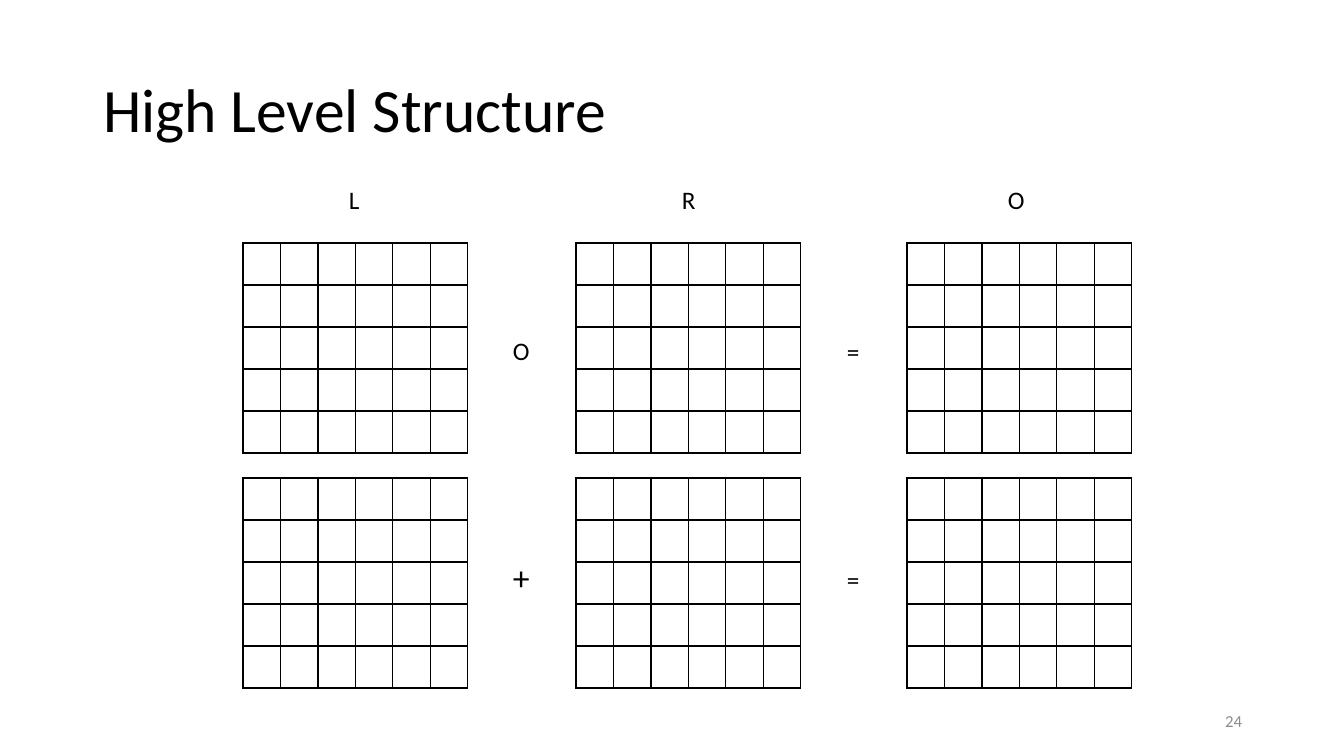
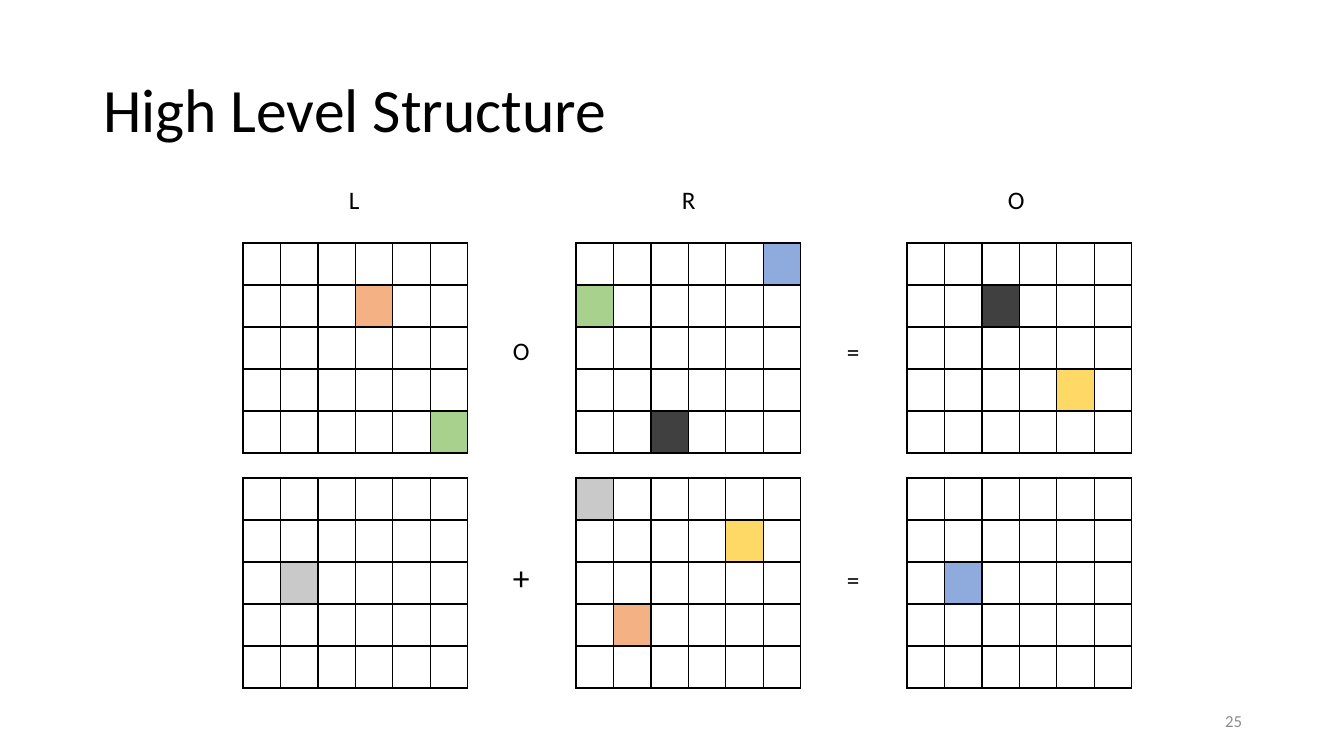
import pptx
import pptx.dml.color
import pptx.enum.text
import pptx.oxml
import pptx.oxml.ns
import pptx.util

EMU_PER_PX = 914400 / 100.8
FONT = "Calibri"
BLACK, WHITE, MUTED = "000000", "FFFFFF", "8C8C8C"
ORANGE, GREEN, BLUE = "F4B183", "A9D18E", "8FAADC"
DARK, YELLOW, GRAY = "404040", "FFD966", "C9C9C9"

ROWS, COLS = 5, 6
GRID_W, GRID_H = 225, 210
EQUATIONS_BOX = (243, 179)
GRID_DX = (0, 333, 664)       # left edges of the L, R and O matrices
OPERATOR_DX = (260, 594)
HEADERS = (("L", 96), ("R", 429), ("O", 755))
# Each equation: top offset, then (symbol, drop, size in points, width, height)
EQUATIONS = (
    (64, (("O", 87, 18, 33, 40), ("=", 88, 18, 33, 40))),
    (299, (("+", 74, 24, 41, 50), ("=", 81, 18, 33, 40))),
)

# (equation, matrix) -> {(row, column): colour}
COPIED_CELLS = {
    (0, 0): {(1, 3): ORANGE, (4, 5): GREEN},
    (0, 1): {(0, 5): BLUE, (1, 0): GREEN, (4, 2): DARK},
    (0, 2): {(1, 2): DARK, (3, 4): YELLOW},
    (1, 0): {(2, 1): GRAY},
    (1, 1): {(0, 0): GRAY, (1, 4): YELLOW, (3, 1): ORANGE},
    (1, 2): {(2, 1): BLUE},
}
SLIDES = ((24, {}), (25, COPIED_CELLS))


def px(n):
    return pptx.util.Emu(round(n * EMU_PER_PX))


def rgb(color):
    return pptx.dml.color.RGBColor.from_string(color)


def set_attrs(obj, values):
    for name, value in values.items():
        setattr(obj, name, value)


def write(sp, text, size, color=BLACK, frame=None, para=None):
    """Fill a shape with one formatted run."""
    tf = sp.text_frame
    set_attrs(tf, {"word_wrap": True, **(frame or {})})
    p = tf.paragraphs[0]
    set_attrs(p, para or {})
    r = p.add_run()
    r.text = text
    set_attrs(r.font, {"name": FONT, "size": pptx.util.Pt(size)})
    r.font.color.rgb = rgb(color)


def add_label(s, text, x, y, w, h, size, **style):
    write(s.shapes.add_textbox(px(x), px(y), px(w), px(h)), text, size, **style)


def add_borders(cell):
    tc_pr = cell._tc.get_or_add_tcPr()
    for i, side in enumerate(("lnL", "lnR", "lnT", "lnB")):
        tc_pr.insert(i, pptx.oxml.parse_xml(
            f'<a:{side} {pptx.oxml.ns.nsdecls("a")} w="12700"><a:solidFill>'
            f'<a:srgbClr val="{BLACK}"/></a:solidFill></a:{side}>'))


def add_matrix(s, x, y, fills):
    """Place one bordered grid, colouring the given cells."""
    table = s.shapes.add_table(
        ROWS, COLS, px(x), px(y), px(GRID_W), px(GRID_H)).table
    set_attrs(table, {"first_row": False, "horz_banding": False})
    for row in range(ROWS):
        for col in range(COLS):
            cell = table.cell(row, col)
            cell.fill.solid()
            cell.fill.fore_color.rgb = rgb(fills.get((row, col), WHITE))
            add_borders(cell)


def add_equations(s, left, top, cells):
    """Place the column headers and both matrix equations."""
    for text, dx in HEADERS:
        add_label(s, text, left + dx, top, 55, 40, 18)
    for i, (dy, operators) in enumerate(EQUATIONS):
        for j, dx in enumerate(GRID_DX):
            add_matrix(s, left + dx, top + dy, cells.get((i, j), {}))
        for dx, (symbol, drop, size, w, h) in zip(OPERATOR_DX, operators):
            add_label(s, symbol, left + dx, top + dy + drop, w, h, size)


def add_title(s, text):
    sp = s.shapes.title
    set_attrs(sp, {"left": px(93), "top": px(40),
                   "width": px(1159), "height": px(146)})
    write(sp, text, 44,
          frame={"vertical_anchor": pptx.enum.text.MSO_ANCHOR.MIDDLE,
                 "auto_size": pptx.enum.text.MSO_AUTO_SIZE.NONE},
          para={"alignment": pptx.enum.text.PP_ALIGN.LEFT,
                "line_spacing": 0.9})


def add_page_number(s, number):
    add_label(s, str(number), 950, 701, 302, 40, 12, color=MUTED,
              frame={"vertical_anchor": pptx.enum.text.MSO_ANCHOR.MIDDLE},
              para={"alignment": pptx.enum.text.PP_ALIGN.RIGHT})


def add_structure_slide(prs, number, cells):
    s = prs.slides.add_slide(prs.slide_layouts.get_by_name("Title Only"))
    add_title(s, "High Level Structure")
    add_equations(s, *EQUATIONS_BOX, cells)
    add_page_number(s, number)


def main():
    prs = pptx.Presentation()
    set_attrs(prs, {"slide_width": px(1344), "slide_height": px(756)})
    for number, cells in SLIDES:
        add_structure_slide(prs, number, cells)
    prs.save("out.pptx")


if __name__ == "__main__":
    main()
